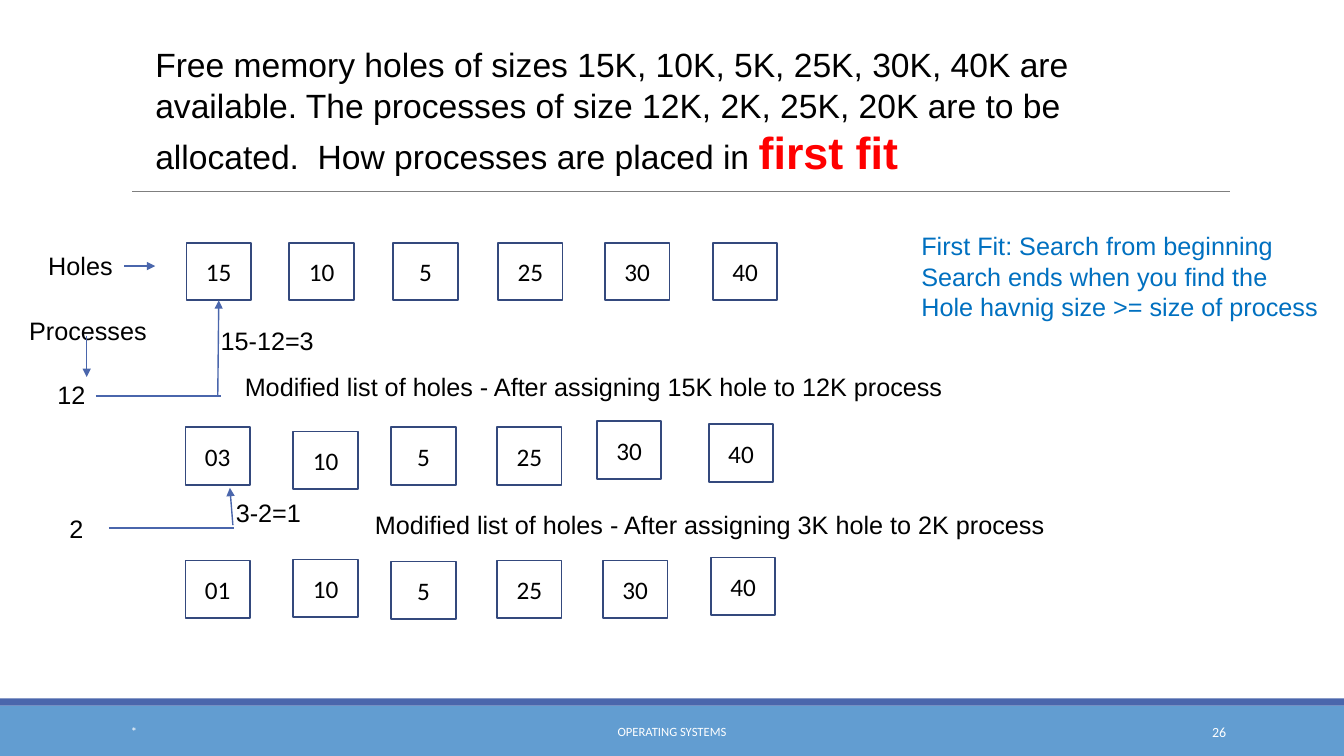
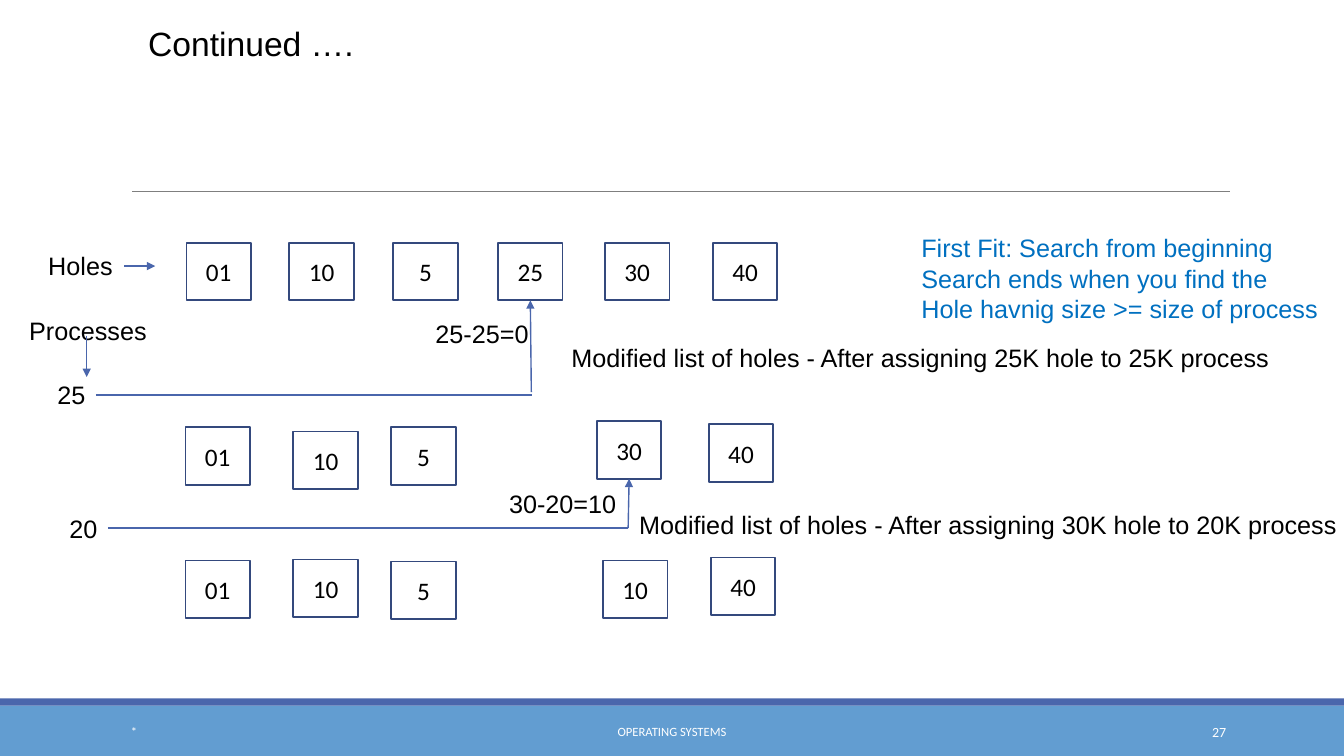
from pptx import Presentation
from pptx.util import Inches, Pt
from pptx.dml.color import RGBColor
from pptx.enum.shapes import MSO_SHAPE, MSO_CONNECTOR
from pptx.enum.text import PP_ALIGN, MSO_ANCHOR, MSO_AUTO_SIZE
from pptx.oxml.ns import qn
from lxml.etree import SubElement

colors = {"black": "000000", "white": "FFFFFF", "red": "FF0000",
          "note": "0070C0", "band": "629DD1", "strip": "4A66AC",
          "edge": "34497D", "rule": "7F7F7F"}
rgb = {name: RGBColor.from_string(code) for name, code in colors.items()}


def write(shape, text, size=18, font="Arial", color="black",
          align=PP_ALIGN.LEFT, anchor=MSO_ANCHOR.TOP):
    frame = shape.text_frame
    frame.text = text
    frame.word_wrap = True
    frame.auto_size = MSO_AUTO_SIZE.NONE
    frame.vertical_anchor = anchor
    for para in frame.paragraphs:
        para.alignment = align
        for run in para.runs:
            run.font.size = Pt(size)
            run.font.name = font
            run.font.color.rgb = rgb[color]


def draw(slide, ends, color="strip", width=1, arrow=False):
    line = slide.shapes.add_connector(MSO_CONNECTOR.STRAIGHT, *map(Inches, ends))
    line.line.color.rgb = rgb[color]
    line.line.width = Pt(width)
    if arrow:
        SubElement(line.line._get_or_add_ln(), qn("a:tailEnd"), type="triangle")
    SubElement(line._element.spPr, qn("a:effectLst"))
    return line


wide, high = 0.64, 0.57
rows = [
    [(1.85, 2.41), (2.87, 2.41), (3.9, 2.41), (4.94, 2.41), (6, 2.41), (7.07, 2.41)],
    [(1.84, 4.24), (2.91, 4.28), (3.88, 4.24), (4.93, 4.24), (5.92, 4.18), (7.03, 4.21)],
    [(1.84, 5.56), (2.91, 5.55), (3.88, 5.57), (4.93, 5.56), (5.98, 5.56), (7.05, 5.53)],
]
note = ("First Fit: Search from beginning\nSearch ends when you find the\n"
        "Hole havnig size >= size of process")
after = "Modified list of holes - After assigning {}K hole to {}K process"

pages = [
    {
        "title": "Free memory holes of sizes 15K, 10K, 5K, 25K, 30K, 40K are "
                 "available. The processes of size 12K, 2K, 25K, 20K are to be "
                 "allocated.  How processes are placed in ",
        "key": "first fit",
        "place": (1.44, 0.39, 9.72, 1.85),
        "number": "26",
        "holes": [["15", "10", "5", "25", "30", "40"],
                  ["03", "10", "5", "25", "30", "40"],
                  ["01", "10", "5", "25", "30", "40"]],
        "labels": [("12", 0.47, 3.71, 0.48), ("2", 0.59, 5.04, 0.34),
                   ("15-12=3", 2.09, 3.18, 1.17), ("3-2=1", 2.24, 4.88, 1.17),
                   (after.format(15, 12), 2.33, 3.63, 7.13),
                   (after.format(3, 2), 3.62, 5, 6.9),
                   (note, 9.04, 2.24, 4.17)],
        "paths": [(0.95, 3.93, 2.19, 3.93), (1.08, 5.24, 2.32, 5.24)],
        "arrows": [((2.16, 3.92, 2.17, 2.98), (0, 0)),
                   ((2.31, 5.21, 2.28, 4.84), None)],
    },
    {
        "title": "Continued ….",
        "key": "",
        "place": (1.37, 0.18, 9.72, 0.51),
        "number": "27",
        "holes": [["01", "10", "5", "25", "30", "40"],
                  ["01", "10", "5", None, "30", "40"],
                  ["01", "10", "5", None, "10", "40"]],
        "labels": [("25", 0.47, 3.71, 0.48), ("20", 0.59, 5.04, 0.48),
                   ("25-25=0", 4.22, 3.11, 1.17), ("30-20=10", 4.95, 4.8, 1.35),
                   (after.format(25, 25), 5.57, 3.35, 7.13),
                   (after.format(30, 20), 6.24, 5, 7.19),
                   (note, 9.04, 2.26, 4.17)],
        "paths": [(0.95, 3.92, 5.28, 3.92), (1.07, 5.24, 6.23, 5.24)],
        "arrows": [((5.27, 3.89, 5.28, 2.95), (0, 3)),
                   ((6.23, 5.24, 6.24, 4.76), (1, 4))],
    },
]
shared = [("Holes", 0.38, 2.43, 0.85), ("Processes", 0.19, 3.08, 1.38)]
guides = [((1.23, 2.64, 1.54, 2.64), None), ((0.86, 3.33, 0.86, 3.74), None)]

deck = Presentation()
deck.slide_width = Inches(13.33)
deck.slide_height = Inches(7.5)

for page in pages:
    slide = deck.slides.add_slide(deck.slide_layouts[5])
    shapes = slide.shapes

    title = shapes.title
    title.left, title.top, title.width, title.height = map(Inches, page["place"])
    write(title, page["title"], 24)
    if page["key"]:
        run = title.text_frame.paragraphs[0].add_run()
        run.text = page["key"]
        run.font.size = Pt(32)
        run.font.name = "Arial"
        run.font.bold = True
        run.font.color.rgb = rgb["red"]

    draw(slide, (1.31, 1.9, 12.2, 1.9), "rule", 0.75)
    for top, tall, color in [(7, 0.5, "band"), (6.93, 0.07, "strip")]:
        bar = shapes.add_shape(MSO_SHAPE.RECTANGLE, 0, Inches(top),
                               deck.slide_width, Inches(tall))
        bar.shadow.inherit = False
        bar.fill.solid()
        bar.fill.fore_color.rgb = rgb[color]
        bar.line.fill.background()

    for text, left, width, size, align in [
            ("*", 1.2, 2.7, 9, PP_ALIGN.LEFT),
            ("OPERATING SYSTEMS", 4.03, 5.27, 9, PP_ALIGN.CENTER),
            (page["number"], 10.83, 1.43, 10, PP_ALIGN.RIGHT)]:
        foot = shapes.add_textbox(Inches(left), Inches(7.06), Inches(width), Inches(0.4))
        write(foot, text, size, "Calibri", "white", align, MSO_ANCHOR.MIDDLE)

    boxes = {}
    for row, (spots, sizes) in enumerate(zip(rows, page["holes"])):
        for col, ((left, top), size) in enumerate(zip(spots, sizes)):
            if size is None:
                continue
            box = shapes.add_shape(MSO_SHAPE.RECTANGLE, Inches(left), Inches(top),
                                   Inches(wide), Inches(high))
            box.shadow.inherit = False
            box.fill.background()
            box.line.color.rgb = rgb["edge"]
            box.line.width = Pt(1.25)
            write(box, size, 18, "Calibri", "black", PP_ALIGN.CENTER, MSO_ANCHOR.MIDDLE)
            boxes[row, col] = box

    for text, left, top, width in shared + page["labels"]:
        tall = 1.01 if text == note else 0.4
        label = shapes.add_textbox(Inches(left), Inches(top), Inches(width), Inches(tall))
        write(label, text, color="note" if text == note else "black")

    for ends in page["paths"]:
        draw(slide, ends)
    for ends, goal in guides + page["arrows"]:
        arrow = draw(slide, ends, arrow=True)
        if goal:
            arrow.end_connect(boxes[goal], 2)

deck.save("out.pptx")
